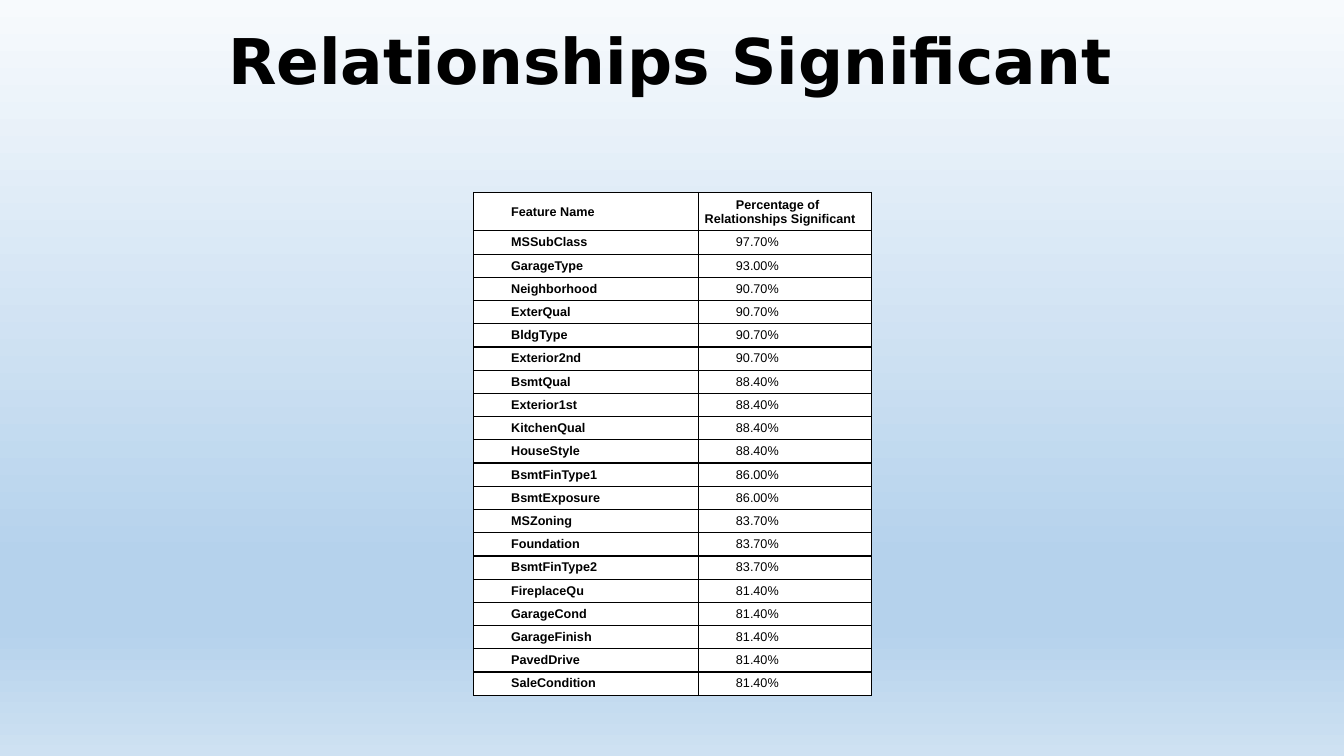
from typing import NamedTuple

from lxml import etree
from pptx import Presentation
from pptx.dml.color import RGBColor
from pptx.enum.text import MSO_ANCHOR, PP_ALIGN
from pptx.oxml.ns import qn
from pptx.slide import Slide
from pptx.table import _Cell
from pptx.util import Inches, Pt

CENTER = PP_ALIGN.CENTER
BOTTOM = MSO_ANCHOR.BOTTOM
MIDDLE = MSO_ANCHOR.MIDDLE

BLACK = RGBColor(0x00, 0x00, 0x00)
WHITE = RGBColor(0xFF, 0xFF, 0xFF)
PALE = RGBColor(0xF7, 0xFA, 0xFD)
SKY = RGBColor(0xB5, 0xD2, 0xEC)
MIST = RGBColor(0xCE, 0xE1, 0xF2)
BACKGROUND_STOPS = ((0, PALE), (74, SKY), (83, SKY), (100, MIST))

COLUMN_WIDTHS = (Inches(2.23), Inches(1.71))
HEADER_HEIGHT = Inches(0.36)
ROW_HEIGHT = Inches(0.22)
BORDER_WIDTH = Pt(1)


class Feature(NamedTuple):
    name: str
    share: str


HEADER = Feature("Feature Name", "Percentage of Relationships Significant")
FEATURES = (
    Feature("MSSubClass", "97.70%"),
    Feature("GarageType", "93.00%"),
    Feature("Neighborhood", "90.70%"),
    Feature("ExterQual", "90.70%"),
    Feature("BldgType", "90.70%"),
    Feature("Exterior2nd", "90.70%"),
    Feature("BsmtQual", "88.40%"),
    Feature("Exterior1st", "88.40%"),
    Feature("KitchenQual", "88.40%"),
    Feature("HouseStyle", "88.40%"),
    Feature("BsmtFinType1", "86.00%"),
    Feature("BsmtExposure", "86.00%"),
    Feature("MSZoning", "83.70%"),
    Feature("Foundation", "83.70%"),
    Feature("BsmtFinType2", "83.70%"),
    Feature("FireplaceQu", "81.40%"),
    Feature("GarageCond", "81.40%"),
    Feature("GarageFinish", "81.40%"),
    Feature("PavedDrive", "81.40%"),
    Feature("SaleCondition", "81.40%"),
)


def add_color(parent: etree._Element, color: RGBColor) -> None:
    etree.SubElement(parent, qn("a:srgbClr"), val=str(color))


def paint_background(page: Slide) -> None:
    fill = page.background.fill
    fill.gradient()
    fill.gradient_angle = 270  # counter-clockwise, so top to bottom
    stops = next(page.element.iter(qn("a:gsLst")))
    for stop in list(stops):
        stops.remove(stop)
    for percent, color in BACKGROUND_STOPS:
        add_color(etree.SubElement(stops, qn("a:gs"), pos=str(percent * 1000)), color)


def add_title(page: Slide, text: str) -> None:
    box = page.shapes.add_textbox(Inches(0.15), Inches(0.21), Inches(12.99), Inches(0.81))
    frame = box.text_frame
    frame.word_wrap = True
    frame.vertical_anchor = BOTTOM
    para = frame.paragraphs[0]
    para.text = text
    para.alignment = CENTER
    para.line_spacing = 0.9
    para.font.name = "DejaVu Sans"
    para.font.size = Pt(45)
    para.font.bold = True
    para.font.color.rgb = BLACK


def add_borders(cell: _Cell) -> None:
    properties = cell._tc.get_or_add_tcPr()
    for side in ("a:lnL", "a:lnR", "a:lnT", "a:lnB"):
        line = etree.SubElement(properties, qn(side), w=str(BORDER_WIDTH))
        add_color(etree.SubElement(line, qn("a:solidFill")), BLACK)


def fill_cell(cell: _Cell, text: str, bold: bool) -> None:
    add_borders(cell)
    cell.fill.solid()
    cell.fill.fore_color.rgb = WHITE
    cell.vertical_anchor = MIDDLE
    cell.margin_left = cell.margin_right = Inches(0.06)
    cell.margin_top = cell.margin_bottom = Inches(0.04)
    para = cell.text_frame.paragraphs[0]
    para.text = text
    # First-line indent
    properties = para._p.get_or_add_pPr()
    properties.set("marL", "0")
    properties.set("indent", str(Inches(0.31)))
    para.font.name = "Arial"
    para.font.size = Pt(9)
    para.font.bold = bold
    para.font.color.rgb = BLACK


def add_feature_table(page: Slide) -> None:
    rows = (HEADER, *FEATURES)
    height = HEADER_HEIGHT + ROW_HEIGHT * len(FEATURES)
    table = page.shapes.add_table(
        len(rows), len(COLUMN_WIDTHS), Inches(4.7), Inches(1.91), sum(COLUMN_WIDTHS), height
    ).table
    table.horz_banding = False
    for column, width in zip(table.columns, COLUMN_WIDTHS):
        column.width = width
    for index, feature in enumerate(rows):
        is_header = index == 0
        table.rows[index].height = HEADER_HEIGHT if is_header else ROW_HEIGHT
        fill_cell(table.cell(index, 0), feature.name, bold=True)
        fill_cell(table.cell(index, 1), feature.share, bold=is_header)


def main() -> None:
    deck = Presentation()
    deck.slide_width = Inches(13.33)
    deck.slide_height = Inches(7.5)
    page = deck.slides.add_slide(deck.slide_layouts[6])
    paint_background(page)
    add_title(page, "Relationships Significant")
    add_feature_table(page)
    deck.save("out.pptx")


if __name__ == "__main__":
    main()
